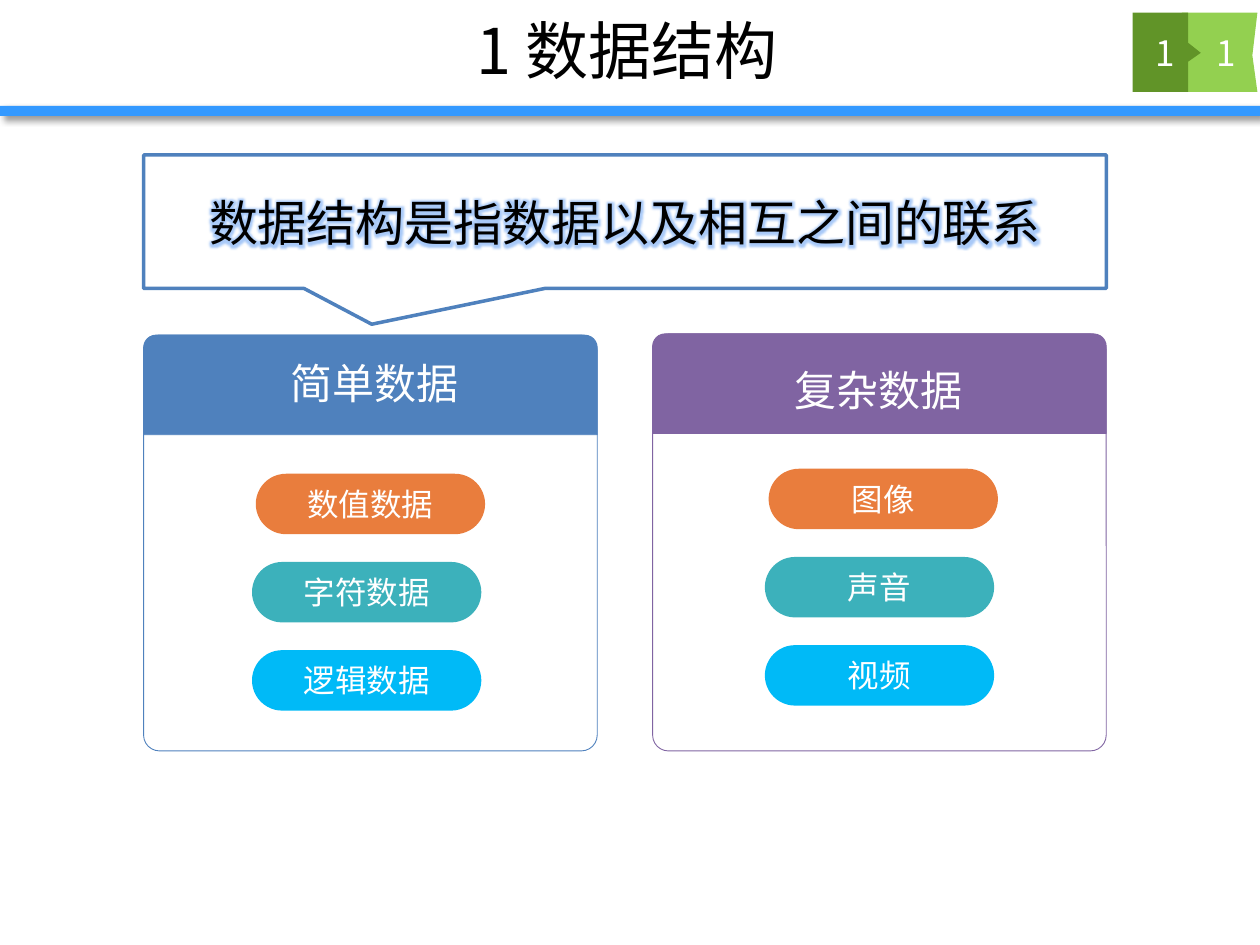
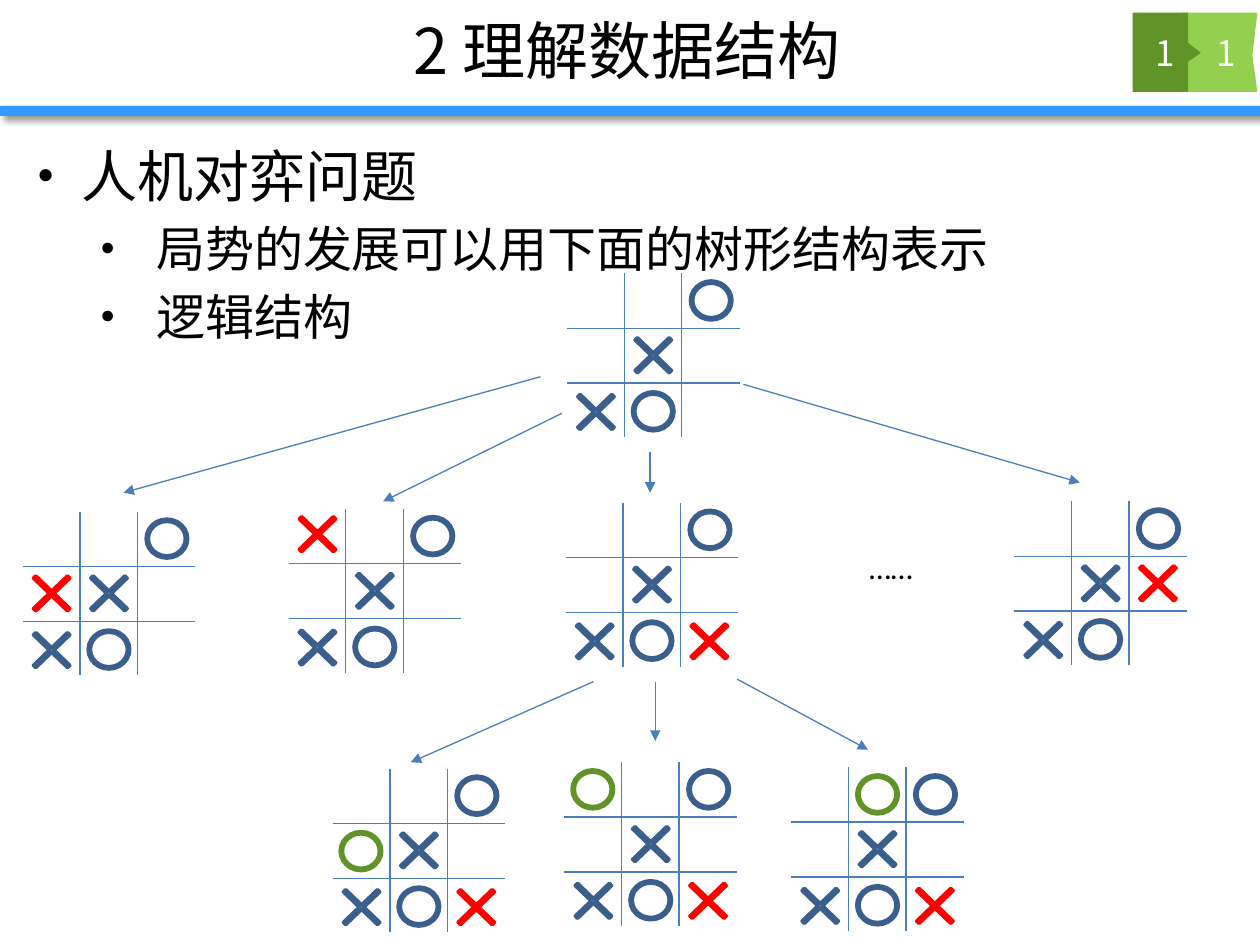
"""Build two slides on data structures: data kinds and a noughts-and-crosses game tree."""
from lxml.etree import SubElement
from pptx import Presentation
from pptx.dml.color import RGBColor
from pptx.enum.shapes import MSO_CONNECTOR, MSO_SHAPE
from pptx.enum.text import MSO_ANCHOR, MSO_AUTO_SIZE, PP_ALIGN
from pptx.oxml.ns import qn
from pptx.util import Inches, Pt

FONT = "Noto Sans CJK SC"
COLORS = {
    "black": "000000",
    "white": "FFFFFF",
    "band": "3399FF",
    "light_green": "93D050",
    "dark_green": "619428",
    "blue": "4F81BD",
    "purple": "8064A2",
    "orange": "E97D3D",
    "teal": "3CB1BB",
    "sky": "00BAF7",
    "glow": "4089F0",
    "line": "4B7EBC",
    "mark": "3A5F8C",
    "red": "FF0000",
}
BADGE_BACK = [(9.38, 0.1), (9.98, 0.1), (9.94, 0.44), (9.98, 0.73), (9.38, 0.73)]
BADGE_FRONT = [(8.99, 0.1), (9.43, 0.1), (9.43, 0.34), (9.53, 0.42),
               (9.43, 0.49), (9.43, 0.73), (8.99, 0.73)]
PILL_COLORS = ("orange", "teal", "sky")
SHARED_MARKS = [("X", 1, 1, "mark"), ("O", 0, 2, "mark"),
                ("O", 2, 1, "mark"), ("X", 2, 0, "mark")]
RED_CORNER = ("X", 2, 2, "red")
BOARDS = [
    (4.5, 2.17, []),
    (0.18, 4.06, [("X", 1, 0, "red")]),
    (2.29, 4.04, [("X", 0, 0, "red")]),
    (4.49, 3.99, [RED_CORNER]),
    (8.05, 3.98, [("X", 1, 2, "red")]),
    (4.48, 6.05, [RED_CORNER, ("O", 0, 0, "dark_green")]),
    (6.28, 6.09, [RED_CORNER, ("O", 0, 1, "dark_green")]),
    (2.64, 6.1, [RED_CORNER, ("O", 1, 0, "dark_green")]),
]
ARROWS = [
    ((4.29, 2.99), (0.98, 3.91)),
    ((4.46, 3.28), (3.04, 3.98)),
    ((5.16, 3.59), (5.16, 3.91)),
    ((5.9, 3.05), (8.57, 3.83)),
    ((4.71, 5.41), (3.26, 6.05)),
    ((5.2, 5.41), (5.2, 5.88)),
    ((5.85, 5.39), (6.89, 5.95)),
]


def rgb(name):
    """Return the named colour."""
    return RGBColor.from_string(COLORS[name])


def place(shape, left, top, width, height):
    """Move and size a shape, in inches."""
    shape.left, shape.top = Inches(left), Inches(top)
    shape.width, shape.height = Inches(width), Inches(height)


def style(paragraph, size, color, font=FONT):
    """Set one font for Latin and East Asian text of a paragraph."""
    paragraph.font.size = Pt(size)
    paragraph.font.name = font
    paragraph.font.color.rgb = rgb(color)
    defaults = paragraph._p.pPr.find(qn("a:defRPr"))
    SubElement(defaults, qn("a:ea"), typeface=font)


def write(shape, text, size, color, font=FONT, anchor=MSO_ANCHOR.MIDDLE):
    """Write one centred paragraph into a shape."""
    frame = shape.text_frame
    frame.word_wrap = True
    frame.auto_size = MSO_AUTO_SIZE.NONE
    frame.vertical_anchor = anchor
    frame.text = text
    paragraph = frame.paragraphs[0]
    paragraph.alignment = PP_ALIGN.CENTER
    style(paragraph, size, color, font)


def add_label(slide, text, box, size, color, font=FONT, anchor=MSO_ANCHOR.TOP):
    """Add a centred text box."""
    label = slide.shapes.add_textbox(*map(Inches, box))
    write(label, text, size, color, font, anchor)


def paint(shape, fill=None, line=None, width=0.5):
    """Set fill and outline; None leaves them out."""
    shape.shadow.inherit = False
    if fill:
        shape.fill.solid()
        shape.fill.fore_color.rgb = rgb(fill)
    else:
        shape.fill.background()
    if line:
        shape.line.color.rgb = rgb(line)
        shape.line.width = Pt(width)
    else:
        shape.line.fill.background()


def add_shape(slide, kind, box, adjustments=(), fill=None, line=None, width=0.5):
    """Add a painted preset shape."""
    shape = slide.shapes.add_shape(kind, *map(Inches, box))
    for index, value in enumerate(adjustments):
        shape.adjustments[index] = value
    paint(shape, fill, line, width)
    return shape


def add_outline(slide, points, fill):
    """Add a filled polygon."""
    start, *others = [(Inches(x), Inches(y)) for x, y in points]
    builder = slide.shapes.build_freeform(*start)
    builder.add_line_segments(others, close=True)
    paint(builder.convert_to_shape(), fill)


def add_effect(effects, kind, color, alpha, **attributes):
    """Add a coloured, translucent effect to an effect list."""
    effect = SubElement(effects, qn(f"a:{kind}"), **attributes)
    tint = SubElement(effect, qn("a:srgbClr"), val=COLORS[color])
    SubElement(tint, qn("a:alpha"), val=str(alpha * 1000))


def add_line(slide, start, end, arrow=False):
    """Add a thin straight line, with an arrowhead at its end if wanted."""
    points = map(Inches, (*start, *end))
    line = slide.shapes.add_connector(MSO_CONNECTOR.STRAIGHT, *points)
    line.line.color.rgb = rgb("line")
    line.line.width = Pt(0.75)
    properties = line._element.spPr
    if arrow:
        SubElement(properties.find(qn("a:ln")), qn("a:tailEnd"), type="triangle")
    SubElement(properties, qn("a:effectLst"))


def add_header(slide, title):
    """Add the title, band and numbered badge shared by the slides."""
    place(slide.shapes.title, 0.98, 0.01, 7.99, 0.77)
    write(slide.shapes.title, title, 36, "black")
    band = add_shape(slide, MSO_SHAPE.RECTANGLE, (0, 0.84, 10, 0.08), fill="band")
    effects = band._element.spPr.find(qn("a:effectLst"))
    add_effect(effects, "outerShdw", "black", 40, blurRad=str(Pt(4)),
               dist=str(Pt(3)), dir="2700000", rotWithShape="0")
    add_outline(slide, BADGE_BACK, "light_green")
    add_outline(slide, BADGE_FRONT, "dark_green")
    for left in (9.42, 8.94):
        add_label(slide, "1", (left, 0.1, 0.62, 0.63), 20, "white",
                  anchor=MSO_ANCHOR.MIDDLE)


def add_card(slide, left, top, color, heading, heading_at):
    """Add an outlined card with a coloured heading."""
    add_shape(slide, MSO_SHAPE.ROUNDED_RECTANGLE, (left, top, 3.6, 5.96 - top),
              [0.038], line=color)
    add_shape(slide, MSO_SHAPE.ROUND_2_SAME_RECTANGLE, (left, top, 3.6, 0.79),
              [0.125, 0], fill=color, line=color)
    add_label(slide, heading, (*heading_at, 3.54, 0.5), 24, "white")


def add_pills(slide, left, top, labels):
    """Add a column of pills, the first set slightly to the right."""
    for row, (label, color) in enumerate(zip(labels, PILL_COLORS)):
        shift = 0 if row else 0.03
        pill = add_shape(slide, MSO_SHAPE.ROUNDED_RECTANGLE,
                         (left + shift, top + 0.7 * row, 1.82, 0.48), [0.5], fill=color)
        write(pill, label, 18, "white")


def add_callout(slide, text):
    """Add the definition callout with glowing text."""
    callout = add_shape(slide, MSO_SHAPE.RECTANGULAR_CALLOUT, (1.14, 1.23, 7.64, 1.06),
                        [-0.263, 0.768], "white", "blue", 2)
    write(callout, text, 28, "black")
    properties = callout.text_frame.paragraphs[0].runs[0]._r.get_or_add_rPr()
    effects = SubElement(properties, qn("a:effectLst"))
    add_effect(effects, "glow", "glow", 45, rad=str(Pt(8)))


def add_bullets(placeholder, items):
    """Fill the body placeholder with (level, size, text) bullets."""
    place(placeholder, 0.2, 1.07, 9.69, 5.63)
    frame = placeholder.text_frame
    frame.auto_size = MSO_AUTO_SIZE.NONE
    for index, (level, size, text) in enumerate(items):
        paragraph = frame.add_paragraph() if index else frame.paragraphs[0]
        paragraph.text = text
        paragraph.level = level
        margin, hanging = ((0.35, 0.35), (0.94, 0.44))[level]
        properties = paragraph._p.get_or_add_pPr()
        properties.set("marL", str(Inches(margin)))
        properties.set("indent", str(-Inches(hanging)))
        SubElement(properties, qn("a:buSzPct"), val="80000")
        SubElement(properties, qn("a:buFont"), typeface="Arial")
        SubElement(properties, qn("a:buChar"), char="•")
        paragraph.space_before = Pt(0.2 * size if index else 0)
        style(paragraph, size, "black")


def add_mark(slide, left, top, symbol, row, column, color):
    """Add a nought or a cross in one cell of a board."""
    if symbol == "X":
        kind, fill = MSO_SHAPE.MATH_MULTIPLY, "red" if color == "red" else "blue"
        box = (left - 0.03 + 0.455 * column, top - 0.05 + 0.45 * row, 0.52, 0.5)
        thickness = 0.052
    else:
        kind, fill = MSO_SHAPE.DONUT, "blue"
        box = (left + 0.06 + 0.46 * column, top + 0.06 + 0.44 * row, 0.33, 0.31)
        thickness = 0.059
    add_shape(slide, kind, box, [thickness], fill, color, 2)


def add_board(slide, left, top, moves):
    """Add a game board with the shared marks and the new moves."""
    for step in (1, 2):
        y, x = top + 0.435 * step, left + 0.455 * step
        add_line(slide, (left, y), (left + 1.37, y))
        add_line(slide, (x, top), (x, top + 1.3))
    for mark in SHARED_MARKS + moves:
        add_mark(slide, left, top, *mark)


def build_data_slide(presentation):
    """Build the slide on simple and complex data."""
    slide = presentation.slides.add_slide(presentation.slide_layouts[5])
    add_header(slide, "1 数据结构")
    add_card(slide, 1.14, 2.66, "blue", "简单数据", (1.2, 2.79))
    add_card(slide, 5.18, 2.65, "purple", "复杂数据", (5.2, 2.84))
    add_callout(slide, "数据结构是指数据以及相互之间的联系")
    add_pills(slide, 2, 3.76, ("数值数据", "字符数据", "逻辑数据"))
    add_pills(slide, 6.07, 3.72, ("图像", "声音", "视频"))


def build_tree_slide(presentation):
    """Build the slide with the game tree."""
    slide = presentation.slides.add_slide(presentation.slide_layouts[1])
    add_header(slide, "2 理解数据结构")
    add_bullets(slide.placeholders[1], [
        (0, 32, "人机对弈问题"),
        (1, 28, "局势的发展可以用下面的树形结构表示"),
        (1, 28, "逻辑结构"),
    ])
    for board in BOARDS:
        add_board(slide, *board)
    for start, end in ARROWS:
        add_line(slide, start, end, arrow=True)
    add_label(slide, "……", (6.57, 4.3, 1, 0.4), 18, "black", "Calibri")


def main():
    """Build and save the presentation."""
    presentation = Presentation()
    presentation.slide_width, presentation.slide_height = Inches(10), Inches(7.5)
    build_data_slide(presentation)
    build_tree_slide(presentation)
    presentation.save("out.pptx")


if __name__ == "__main__":
    main()
